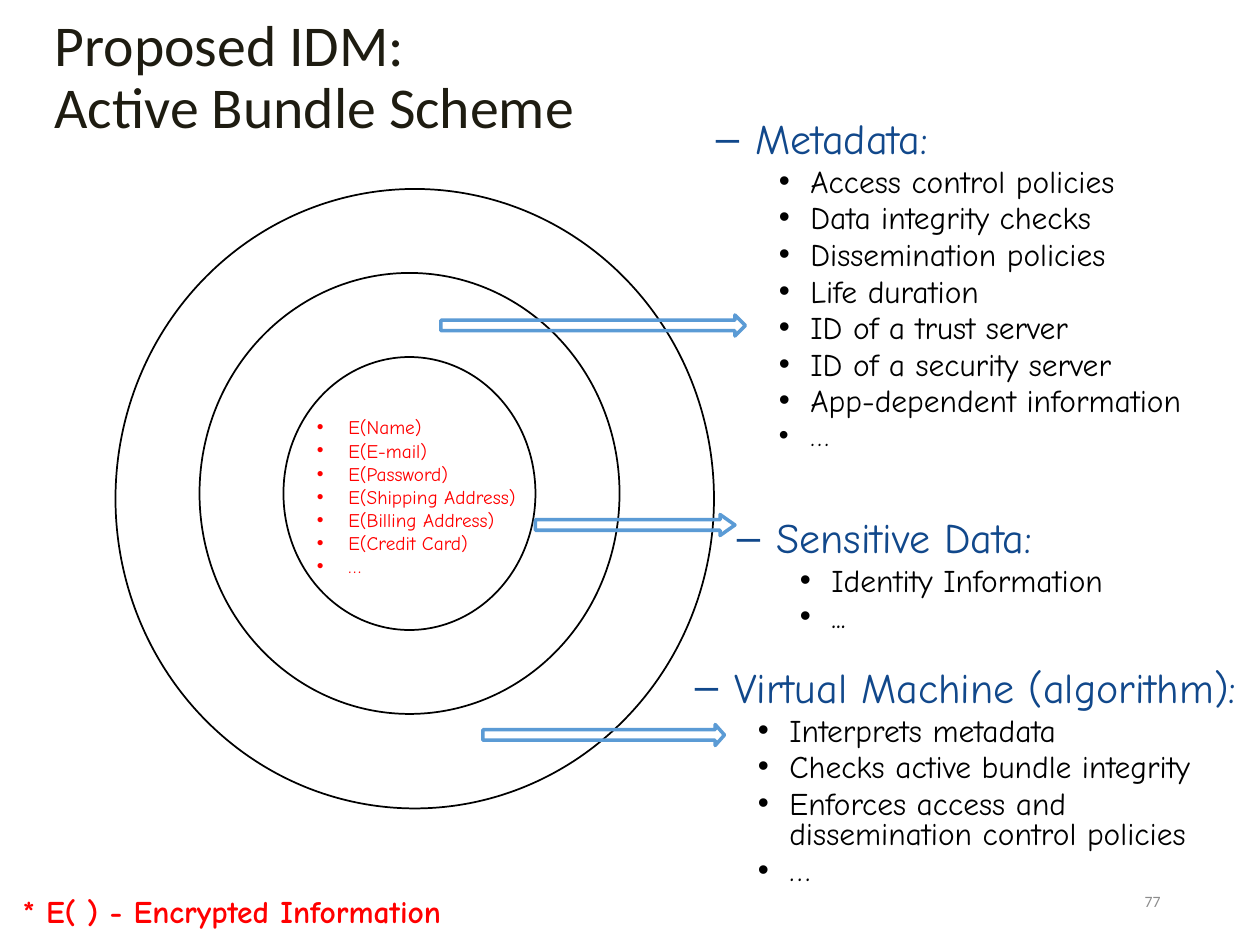
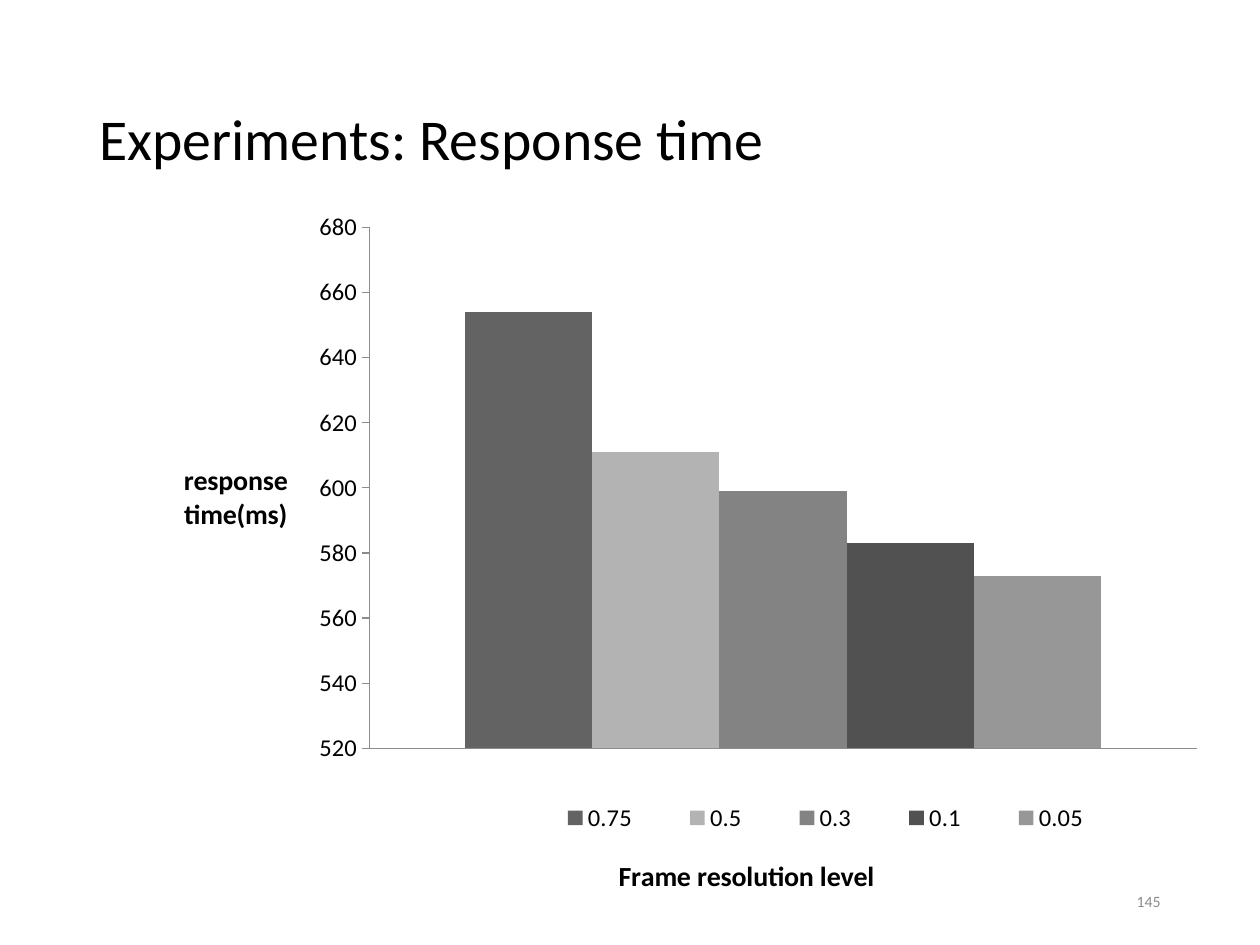
"""Build two slides: the active bundle scheme and a response time chart."""
from dataclasses import dataclass, replace
from typing import Any, NamedTuple

from lxml.etree import SubElement as Sub
from pptx import Presentation
from pptx.chart.data import CategoryChartData as ChartData
from pptx.dml.color import RGBColor
from pptx.enum.chart import XL_CHART_TYPE as Kind
from pptx.enum.chart import XL_LEGEND_POSITION as Side
from pptx.enum.chart import XL_TICK_LABEL_POSITION as Label
from pptx.enum.chart import XL_TICK_MARK as Tick
from pptx.enum.shapes import MSO_SHAPE as Form
from pptx.enum.text import MSO_ANCHOR as Anchor
from pptx.enum.text import MSO_AUTO_SIZE as Fit
from pptx.enum.text import PP_ALIGN as Align
from pptx.oxml.ns import qn
from pptx.util import Pt

SANS, COMIC = "Calibri", "Comic Neue"
BLACK, WHITE, RED, GREY = "000000", "FFFFFF", "FF0000", "8C8C8C"
NAVY, SKY, DARK = "11488B", "5B9BD5", "1E1C11"


class Box(NamedTuple):
    left: float
    top: float
    width: float
    height: float


@dataclass(frozen=True)
class Style:
    size: float
    color: str
    font: str = COMIC
    bold: bool = False
    align: Any = Align.LEFT
    lines: float = 1.0
    before: float = 0
    mark: str = ""
    left: float = 0
    hang: float = 0


class Row(NamedTuple):
    text: str
    style: Style


class Arrow(NamedTuple):
    box: Box
    head: float


class Bar(NamedTuple):
    name: str
    value: int
    color: str


HEAD = Style(24, NAVY, lines=0.8, mark="–", left=58.5, hang=22.5)
ITEM = Style(18, BLACK, lines=0.8, before=3.6, mark="•", left=90, hang=18)
FIELD = Style(11, RED, mark="•", left=18, hang=18)
NOTE = Style(18, RED, bold=True)
PAGE = Style(9, GREY, SANS, align=Align.RIGHT)
TITLE = Style(33, BLACK, SANS, lines=0.9)

RINGS = (
    Box(66, 108, 342, 354),
    Box(114, 156, 240, 252),
    Box(162, 204, 144, 156),
)
ARROWS = (
    Arrow(Box(252, 180, 174, 12), 0.5),
    Arrow(Box(276, 414, 138, 12), 0.44),
    Arrow(Box(306, 294, 114, 12), 0.71),
)
FIELDS = ("E(Name)", "E(E-mail)", "E(Password)", "E(Shipping Address)",
          "E(Billing Address)", "E(Credit Card)", "…")
META = ("Access control policies", "Data integrity checks",
        "Dissemination policies", "Life duration", "ID of a trust server",
        "ID of a security server", "App-dependent information")
DATA = ("Identity Information", "...")
TASKS = ("Interprets metadata", "Checks active bundle integrity",
         "Enforces access and dissemination control policies", "…")
BARS = (
    Bar("0.75", 654, "636363"),
    Bar("0.5", 611, "B3B3B3"),
    Bar("0.3", 599, "838383"),
    Bar("0.1", 583, "515151"),
    Bar("0.05", 573, "979797"),
)


def rgb(color: str) -> RGBColor:
    """Turn a hex string into a colour."""
    return RGBColor.from_string(color)


def span(box: Box) -> list[Pt]:
    """Give the four lengths of a box."""
    return [Pt(part) for part in box]


def ink(font: Any, style: Style) -> None:
    """Apply a style to a font."""
    font.name, font.size, font.bold = style.font, Pt(style.size), style.bold
    font.color.rgb = rgb(style.color)


def shape_row(para: Any, style: Style) -> None:
    """Format one paragraph and its runs."""
    if style.mark:
        props = para._p.get_or_add_pPr()
        props.set("marL", str(Pt(style.left)))
        props.set("indent", str(-Pt(style.hang)))
        Sub(props, qn("a:buFont"), typeface="Arial")
        Sub(props, qn("a:buChar"), char=style.mark)
    para.alignment = style.align
    para.line_spacing = style.lines
    para.space_before = Pt(style.before)
    for run in para.runs:
        ink(run.font, style)


def rows(style: Style, texts: tuple[str, ...]) -> list[Row]:
    """Give each text the same style."""
    return [Row(text, style) for text in texts]


def write(slide: Any, box: Box, lines: list[Row],
          anchor: Any = Anchor.TOP) -> None:
    """Add a text box with styled rows."""
    frame = slide.shapes.add_textbox(*span(box)).text_frame
    frame.word_wrap = True
    frame.vertical_anchor = anchor
    frame.text = "\n".join(row.text for row in lines)
    for para, row in zip(frame.paragraphs, lines):
        shape_row(para, row.style)


def start(deck: Any, text: str, box: Box, style: Style, page: str) -> Any:
    """Add a slide with its title and page number."""
    slide = deck.slides.add_slide(deck.slide_layouts[5])
    title = slide.shapes.title
    title.left, title.top, title.width, title.height = span(box)
    frame = title.text_frame
    frame.auto_size = Fit.NONE
    frame.vertical_anchor = Anchor.MIDDLE
    frame.text = text
    shape_row(frame.paragraphs[0], style)
    write(slide, Box(508.3, 500.4, 162, 28.8), [Row(page, PAGE)],
          Anchor.MIDDLE)
    return slide


def draw(slide: Any, form: Any, box: Box, color: str, weight: float) -> Any:
    """Add a white outlined shape."""
    shape = slide.shapes.add_shape(form, *span(box))
    shape.shadow.inherit = False
    shape.fill.solid()
    shape.fill.fore_color.rgb = rgb(WHITE)
    shape.line.color.rgb = rgb(color)
    shape.line.width = Pt(weight)
    return shape


def place(part: Any, index: int, **spots: Any) -> None:
    """Set the manual layout of a chart part."""
    for old in part.findall(qn("c:layout")):
        part.remove(old)
    layout = Sub(part, qn("c:layout"))
    part.insert(index, layout)
    manual = Sub(layout, qn("c:manualLayout"))
    for name, value in spots.items():
        Sub(manual, qn(f"c:{name}"), val=str(value))


def name_axis(axis: Any, text: str, left: float, top: float) -> None:
    """Give an axis a level, placed title."""
    frame = axis.axis_title.text_frame
    frame.text = text
    frame._txBody.bodyPr.set("rot", "0")
    frame._txBody.bodyPr.set("vert", "horz")
    ink(frame.paragraphs[0].runs[0].font, Style(16, BLACK, SANS, True))
    place(axis.axis_title._element, 1,
          xMode="edge", yMode="edge", x=left, y=top)
    axis.format.line.color.rgb = rgb(GREY)
    axis.has_major_gridlines = False
    axis.minor_tick_mark = Tick.NONE


def draw_scheme(deck: Any) -> None:
    """Build the bundle scheme slide."""
    slide = start(deck, "Proposed IDM:\vActive Bundle Scheme",
                  Box(24, 0, 680, 90), replace(TITLE, color=DARK), "77")
    for ring in RINGS:
        draw(slide, Form.OVAL, ring, BLACK, 1)
    for arrow in ARROWS:
        shape = draw(slide, Form.RIGHT_ARROW, arrow.box, SKY, 2)
        shape.adjustments[0], shape.adjustments[1] = 0.5, arrow.head
        shape.fill.background()
    more = Row("…", replace(ITEM, size=16))
    write(slide, Box(366, 66.5, 354, 210),
          [Row("Metadata:", HEAD), *rows(ITEM, META), more])
    write(slide, Box(378, 294.5, 282, 114),
          [Row("Sensitive Data:", HEAD), *rows(ITEM, DATA)])
    write(slide, Box(354, 380, 360, 158),
          [Row("Virtual Machine (algorithm):", HEAD), *rows(ITEM, TASKS)])
    write(slide, Box(174, 234, 144, 101), rows(FIELD, FIELDS))
    write(slide, Box(6, 506, 336, 29),
          [Row("* E( ) - Encrypted Information", NOTE)])


def draw_times(deck: Any) -> None:
    """Build the response time slide."""
    slide = start(deck, "Experiments: Response time",
                  Box(49.5, 28.75, 621, 104.4), TITLE, "145")
    data = ChartData()
    data.categories = ["1"]
    for bar in BARS:
        data.add_series(bar.name, [bar.value])
    chart = slide.shapes.add_chart(
        Kind.COLUMN_CLUSTERED, *span(Box(90, 114, 606, 402)), data).chart
    chart.has_title = False
    ink(chart.font, Style(14, BLACK, SANS))
    plot = chart.plots[0]
    plot.gap_width, plot.overlap = 150, 0
    plot.vary_by_categories = False
    for series, bar in zip(plot.series, BARS):
        series.format.fill.solid()
        series.format.fill.fore_color.rgb = rgb(bar.color)
    base, scale = chart.category_axis, chart.value_axis
    name_axis(base, "Frame resolution level", 0.43, 0.94)
    base.major_tick_mark = Tick.NONE
    base.tick_label_position = Label.NONE
    name_axis(scale, "response time(ms)", 0.02, 0.37)
    scale.minimum_scale, scale.maximum_scale = 520, 680
    scale.major_unit = 20
    scale.major_tick_mark = Tick.OUTSIDE
    chart.has_legend = True
    chart.legend.position = Side.BOTTOM
    chart.legend.include_in_layout = False
    ink(chart.legend.font, Style(14, BLACK, SANS))
    edge = {"xMode": "edge", "yMode": "edge"}
    place(chart.legend._element, 1, **edge, x=0.34, y=0.86, w=0.58, h=0.06)
    area = chart._chartSpace.chart.plotArea
    place(area, 0, layoutTarget="inner", **edge,
          x=0.2, y=0.04, w=0.78, h=0.75)


def main() -> None:
    """Build and save the deck."""
    deck = Presentation()
    deck.slide_width, deck.slide_height = Pt(720), Pt(540)
    draw_scheme(deck)
    draw_times(deck)
    deck.save("out.pptx")


if __name__ == "__main__":
    main()
